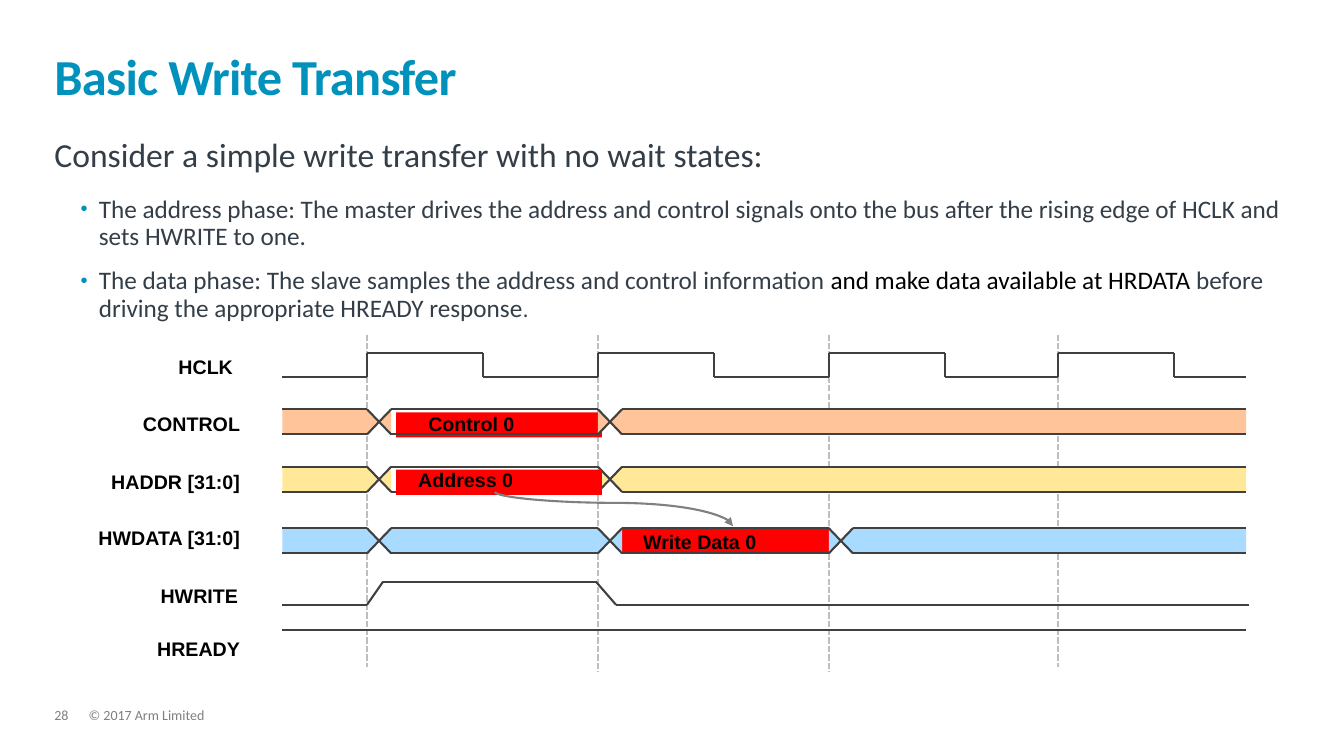
from lxml import etree
from pptx import Presentation
from pptx import util as u
from pptx.dml.color import RGBColor
from pptx.enum import dml, shapes, text
from pptx.oxml.ns import qn

Inches = u.Inches
COLORS = {
    "title": "0091BD", "body": "333E48", "black": "000000", "footer": "7F7F7F",
    "wave": "404040", "guide": "BFBFBF", "arrow": "808080", "value": "FF0000",
    "control": "FFC499", "address": "FFE999", "data": "A8DBFF",
}
START, END = 2.8, 12.36
EDGES = [3.64, 5.93, 8.22, 10.49]  # rising clock edges
CROSS = 0.24  # width of a bus crossing
LANE = 0.25  # height of a bus lane

prs = Presentation()
prs.slide_width, prs.slide_height = Inches(13.33), Inches(7.5)
slide = prs.slides.add_slide(prs.slide_layouts[5])


def line(x1, y1, x2, y2, color="wave", kind=shapes.MSO_CONNECTOR.STRAIGHT):
    connector = slide.shapes.add_connector(
        kind, Inches(x1), Inches(y1), Inches(x2), Inches(y2))
    connector.line.color.rgb = RGBColor.from_string(COLORS[color])
    connector.line.width = u.Pt(1.5)
    etree.SubElement(connector._element.spPr, qn("a:effectLst"))
    return connector


def block(kind, x, y, width, height, color, rotation=0):
    """Add a filled shape without outline."""
    shape = slide.shapes.add_shape(
        kind, Inches(x), Inches(y), Inches(width), Inches(height))
    shape.shadow.inherit = False
    shape.fill.solid()
    shape.fill.fore_color.rgb = RGBColor.from_string(COLORS[color])
    shape.line.fill.background()
    shape.rotation = rotation


# Title
title = slide.shapes.title
title.left, title.top = Inches(0.54), Inches(0.32)
title.width, title.height = Inches(12.23), Inches(0.73)
frame = title.text_frame
frame.auto_size = text.MSO_AUTO_SIZE.NONE
frame.vertical_anchor = text.MSO_ANCHOR.BOTTOM
frame.margin_left = frame.margin_right = frame.margin_top = frame.margin_bottom = 0
heading = frame.paragraphs[0]
heading.alignment = text.PP_ALIGN.LEFT
heading.line_spacing = 0.85
run = heading.add_run()
run.text = "Basic Write Transfer"
run.font.name, run.font.size, run.font.bold = "Calibri", u.Pt(36), True
run.font.color.rgb = RGBColor.from_string(COLORS["title"])
run.font._element.set("spc", "-50")

# Body: space after, bulleted, runs of (wording, size, colour)
body = [
    (16, False, [("Consider a simple write transfer with no wait states:", 24, "body")]),
    (12, True, [("The address phase: The master drives the address and control signals "
                 "onto the bus after the rising edge of HCLK and sets HWRITE to one.",
                 18, "body")]),
    (12, True, [("The data phase: The slave samples the address and control information ",
                 18, "body"),
                ("and make data available at HRDATA ", 18, "black"),
                ("before driving the appropriate HREADY response", 18, "body"),
                (".", 16, "body")]),
]
frame = slide.shapes.add_textbox(
    Inches(0.54), Inches(1.37), Inches(12.23), Inches(1.85)).text_frame
frame.word_wrap = True
frame.margin_left = frame.margin_right = frame.margin_top = frame.margin_bottom = 0
for number, (space_after, bulleted, runs) in enumerate(body):
    paragraph = frame.add_paragraph() if number else frame.paragraphs[0]
    if bulleted:
        paragraph.level = 1
        properties = paragraph._p.get_or_add_pPr()
        properties.set("marL", str(Inches(0.44)))
        properties.set("indent", str(Inches(-0.18)))
        bullet_color = etree.SubElement(properties, qn("a:buClr"))
        etree.SubElement(bullet_color, qn("a:srgbClr"), val=COLORS["title"])
        etree.SubElement(properties, qn("a:buSzPct"), val="80000")
        etree.SubElement(properties, qn("a:buFont"), typeface="Arial")
        etree.SubElement(properties, qn("a:buChar"), char="•")
    paragraph.line_spacing = 0.9
    paragraph.space_after = u.Pt(space_after)
    for wording, size, color in runs:
        run = paragraph.add_run()
        run.text = wording
        run.font.name, run.font.size = "Calibri", u.Pt(size)
        run.font.color.rgb = RGBColor.from_string(COLORS[color])

# Dashed guides at the clock edges
for edge, bottom in zip(EDGES, [6.62, 6.67, 6.67, 6.62]):
    line(edge, 3.32, edge, bottom, "guide").line.dash_style = dml.MSO_LINE.SQUARE_DOT

# HCLK
HIGH, LOW, PULSE = 3.5, 3.74, 1.15
line(START, LOW, EDGES[0], LOW)
for rise, next_rise in zip(EDGES, EDGES[1:] + [END]):
    fall = rise + PULSE
    line(rise, LOW, rise, HIGH)
    line(rise, HIGH, fall, HIGH)
    line(fall, HIGH, fall, LOW)
    line(fall, LOW, next_rise, LOW)

# Buses: top, colour, crossings, index of the value cell, value box, value over outline
RECT, TRIANGLE = shapes.MSO_SHAPE.RECTANGLE, shapes.MSO_SHAPE.ISOSCELES_TRIANGLE
buses = [
    (4.06, "control", EDGES[:2], 1, (3.93, 4.09, 2.04), False),
    (4.63, "address", EDGES[:2], 1, (3.93, 4.66, 2.04), True),
    (5.24, "data", EDGES[:3], 2, (6.17, 5.24, 2.05), False),
]
for top, color, crossings, value_cell, value_box, value_on_top in buses:
    middle, bottom, half = top + LANE / 2, top + LANE, CROSS / 2
    if not value_on_top:
        block(RECT, *value_box, LANE, "value")
    lefts = [START] + [edge + CROSS for edge in crossings]
    for cell, (left, right) in enumerate(zip(lefts, crossings + [END])):
        if cell != value_cell:
            block(RECT, left, top, right - left, LANE, color)
        # A tip is turned about its centre, a quarter crossing outside the cell
        for side, turn, has_tip in ((left, 270, left > START), (right, 90, right < END)):
            if has_tip:
                outward = half if turn == 90 else -half
                block(TRIANGLE, side + outward / 2 - LANE / 2, middle - half / 2,
                      LANE, half, color, turn)
                line(side, top, side + outward, middle)
                line(side + outward, middle, side, bottom)
        line(left, top, right, top)
        line(left, bottom, right, bottom)
    if value_on_top:
        block(RECT, *value_box, LANE, "value")

# HWRITE and HREADY
hwrite = [(START, 6), (3.64, 6), (3.8, 5.77), (5.91, 5.77), (6.11, 6), (12.39, 6)]
for begin, end in zip(hwrite, hwrite[1:]):
    line(*begin, *end)
line(START, 6.25, END, 6.25)

# Arrow from address to data: a flipped curve, turned a quarter
arrow = line(6.26, 3.87, 5.92, 6.23, "arrow", shapes.MSO_CONNECTOR.CURVE)
properties = arrow._element.spPr
properties.find(qn("a:xfrm")).set("rot", "16200000")
etree.SubElement(properties.find(qn("a:prstGeom")).find(qn("a:avLst")),
                 qn("a:gd"), name="adj1", fmla="val 32100")
etree.SubElement(properties.find(qn("a:ln")), qn("a:tailEnd"), type="triangle")

# Signal names, bus values and footer
RIGHT, LEFT = text.PP_ALIGN.RIGHT, text.PP_ALIGN.LEFT
labels = [
    ("HCLK", 0.25, 3.47, 2.16, RIGHT),
    ("CONTROL", 0.32, 4.04, 2.16, RIGHT),
    ("HADDR [31:0]", 0.32, 4.61, 2.16, RIGHT),
    ("HWDATA [31:0]", 0.32, 5.17, 2.16, RIGHT),
    ("HWRITE", 0.3, 5.74, 2.16, RIGHT),
    ("HREADY", 0.32, 6.27, 2.16, RIGHT),
    ("Control 0", 4.15, 4.04, 1.8, LEFT),
    ("Address 0", 4.05, 4.59, 1.8, LEFT),
    ("Write Data 0", 6.28, 5.21, 1.98, LEFT),
    ("28", 0.54, 7.03, 0.34, LEFT),
    ("© 2017 Arm Limited", 0.88, 7.03, 9.13, LEFT),
]
for wording, left, top, width, alignment in labels:
    in_footer = top > 7
    frame = slide.shapes.add_textbox(
        Inches(left), Inches(top), Inches(width),
        Inches(0.15 if in_footer else 0.34)).text_frame
    frame.word_wrap = True
    paragraph = frame.paragraphs[0]
    paragraph.alignment = alignment
    run = paragraph.add_run()
    run.text = wording
    run.font.name, run.font.size = "Arial", u.Pt(14)
    run.font.bold = not in_footer
    run.font.color.rgb = RGBColor.from_string(COLORS["footer" if in_footer else "black"])
    if in_footer:
        frame.margin_left = frame.margin_right = frame.margin_top = frame.margin_bottom = 0
        paragraph.line_spacing = 0.9
        run.font.name, run.font.size = "Calibri", u.Pt(10)

prs.save("out.pptx")
